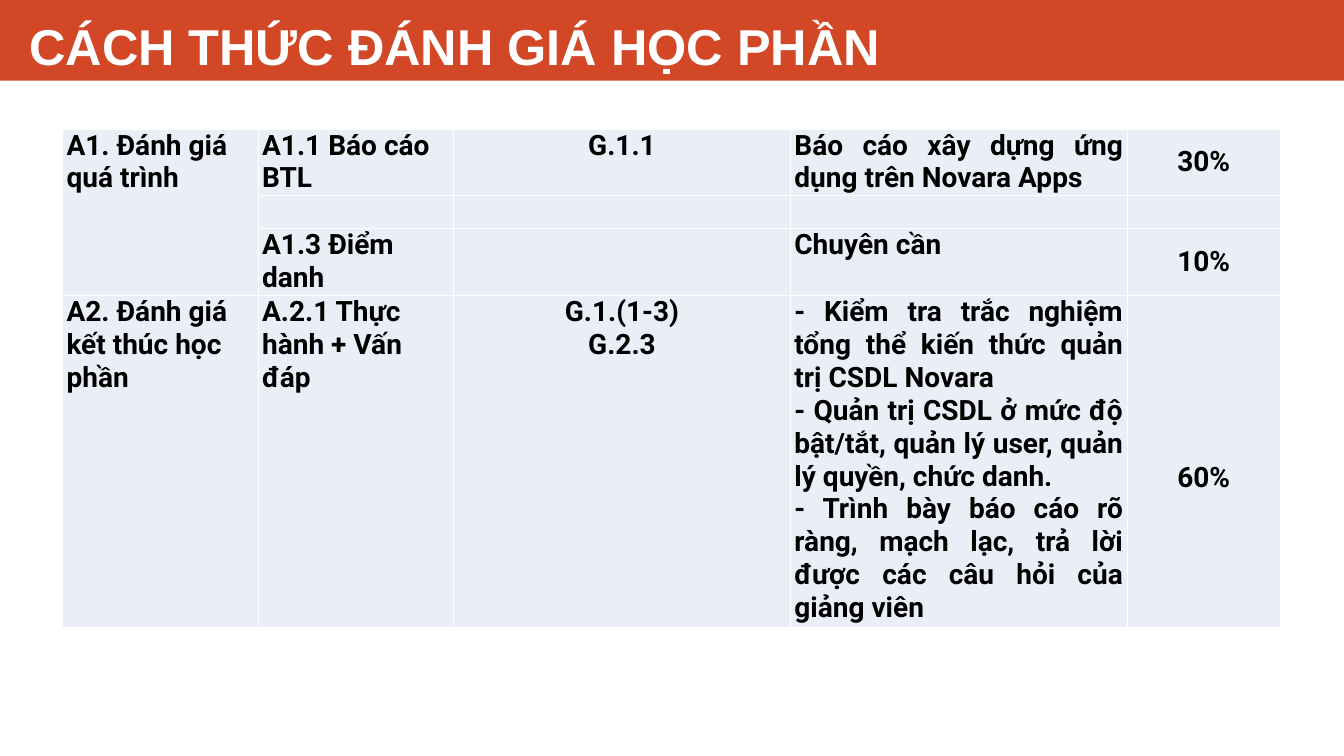
from lxml import etree
from pptx import Presentation
from pptx.dml.color import RGBColor
from pptx.enum.shapes import MSO_SHAPE
from pptx.enum.text import MSO_ANCHOR, PP_ALIGN
from pptx.oxml.ns import qn
from pptx.util import Inches, Pt

RECT = MSO_SHAPE.RECTANGLE
TOP, MIDDLE, BOTTOM = MSO_ANCHOR.TOP, MSO_ANCHOR.MIDDLE, MSO_ANCHOR.BOTTOM
LEFT, CENTER, JUSTIFY = PP_ALIGN.LEFT, PP_ALIGN.CENTER, PP_ALIGN.JUSTIFY
RED = RGBColor(0xD2, 0x47, 0x26)
PALE = RGBColor(0xEA, 0xEF, 0xF7)
WHITE = RGBColor(0xFF, 0xFF, 0xFF)
BLACK = RGBColor(0, 0, 0)

TITLE = "CÁCH THỨC ĐÁNH GIÁ HỌC PHẦN"
TASKS = "\n".join([
    "- Kiểm tra trắc nghiệm tổng thể kiến thức quản trị CSDL Novara",
    "- Quản trị CSDL ở mức độ bật/tắt, quản lý user, quản lý quyền, chức danh.",
    "- Trình bày báo cáo rõ ràng, mạch lạc, trả lời được các câu hỏi của giảng viên",
])
ROWS = [
    ["A1. Đánh giá quá trình", "A1.1 Báo cáo BTL", "G.1.1",
     "Báo cáo xây dựng ứng dụng trên Novara Apps", "30%"],
    ["", "", "", "", ""],
    ["", "A1.3 Điểm danh", "", "Chuyên cần", "10%"],
    ["A2. Đánh giá kết thúc học phần", "A.2.1 Thực hành + Vấn đáp",
     "G.1.(1-3)\nG.2.3", TASKS, "60%"],
]
WIDTHS = [1.94, 1.94, 3.34, 3.34, 1.52]
ALIGNS = [LEFT, LEFT, CENTER, JUSTIFY, CENTER]
LINE = 0.33
LINES = [2, 1, 2, 10]


def style(run, font, size, color):
    run.font.name = font
    run.font.size = Pt(size)
    run.font.bold = True
    run.font.color.rgb = color


def border(cell):
    props = cell._tc.get_or_add_tcPr()
    for spot, side in enumerate(("lnL", "lnR", "lnT", "lnB")):
        line = etree.Element(qn("a:" + side), w=str(Pt(1)))
        fill = etree.SubElement(line, qn("a:solidFill"))
        etree.SubElement(fill, qn("a:srgbClr"), val=str(WHITE))
        props.insert(spot, line)


def add_title(slide):
    bar = slide.shapes.add_shape(RECT, 0, 0, Inches(13.33), Inches(0.8))
    bar.shadow.inherit = False
    bar.fill.solid()
    bar.fill.fore_color.rgb = RED
    bar.line.fill.background()
    title = slide.shapes.title
    title._element.addprevious(bar._element)
    title.left, title.top = Inches(0.19), 0
    title.width, title.height = Inches(12.94), Inches(0.8)
    frame = title.text_frame
    frame.text = TITLE
    frame.vertical_anchor = BOTTOM
    frame.paragraphs[0].alignment = LEFT
    style(frame.paragraphs[0].runs[0], "Arial", 36, WHITE)


def fill_cell(cell, text, align, anchor):
    cell.fill.solid()
    cell.fill.fore_color.rgb = PALE
    border(cell)
    cell.margin_left = cell.margin_right = Inches(0.04)
    cell.margin_top = cell.margin_bottom = 0
    cell.vertical_anchor = anchor
    cell.text_frame.text = text
    for para in cell.text_frame.paragraphs:
        para.alignment = align
        for run in para.runs:
            style(run, "Roboto", 20, BLACK)


def add_grid(slide):
    frame = slide.shapes.add_table(
        len(ROWS), len(WIDTHS), Inches(0.62), Inches(1.28),
        Inches(sum(WIDTHS)), Inches(LINE * sum(LINES)))
    table = frame.table
    table.first_row = table.horz_banding = False
    for col, width in zip(table.columns, WIDTHS):
        col.width = Inches(width)
    for row, count in zip(table.rows, LINES):
        row.height = Inches(LINE * count)
    last = len(WIDTHS) - 1
    for r, texts in enumerate(ROWS):
        for c, text in enumerate(texts):
            anchor = MIDDLE if c == last else TOP
            fill_cell(table.cell(r, c), text, ALIGNS[c], anchor)
    table.cell(len(ROWS) - 1, last).margin_top = Inches(LINE)
    table.cell(0, 0).merge(table.cell(2, 0))


def main():
    deck = Presentation()
    deck.slide_width, deck.slide_height = Inches(13.33), Inches(7.5)
    slide = deck.slides.add_slide(deck.slide_layouts[5])
    add_title(slide)
    add_grid(slide)
    deck.save("out.pptx")


if __name__ == "__main__":
    main()
